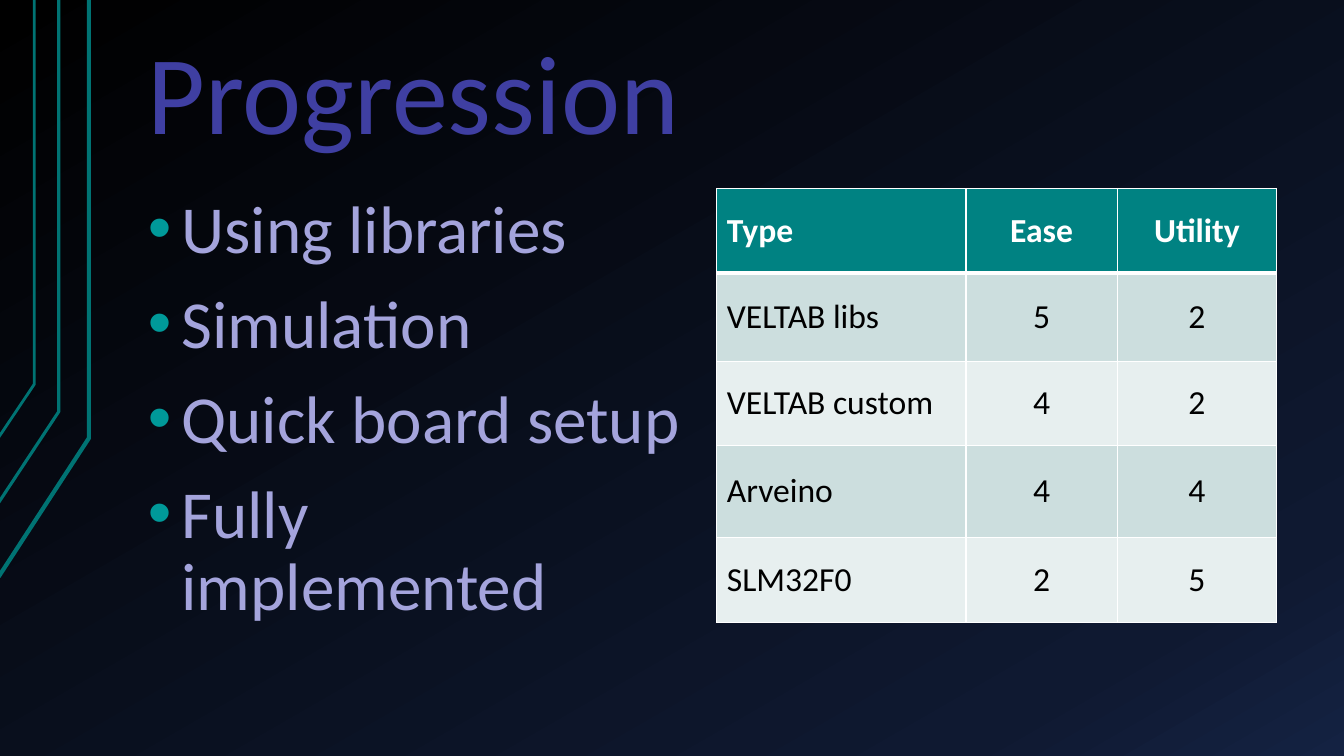
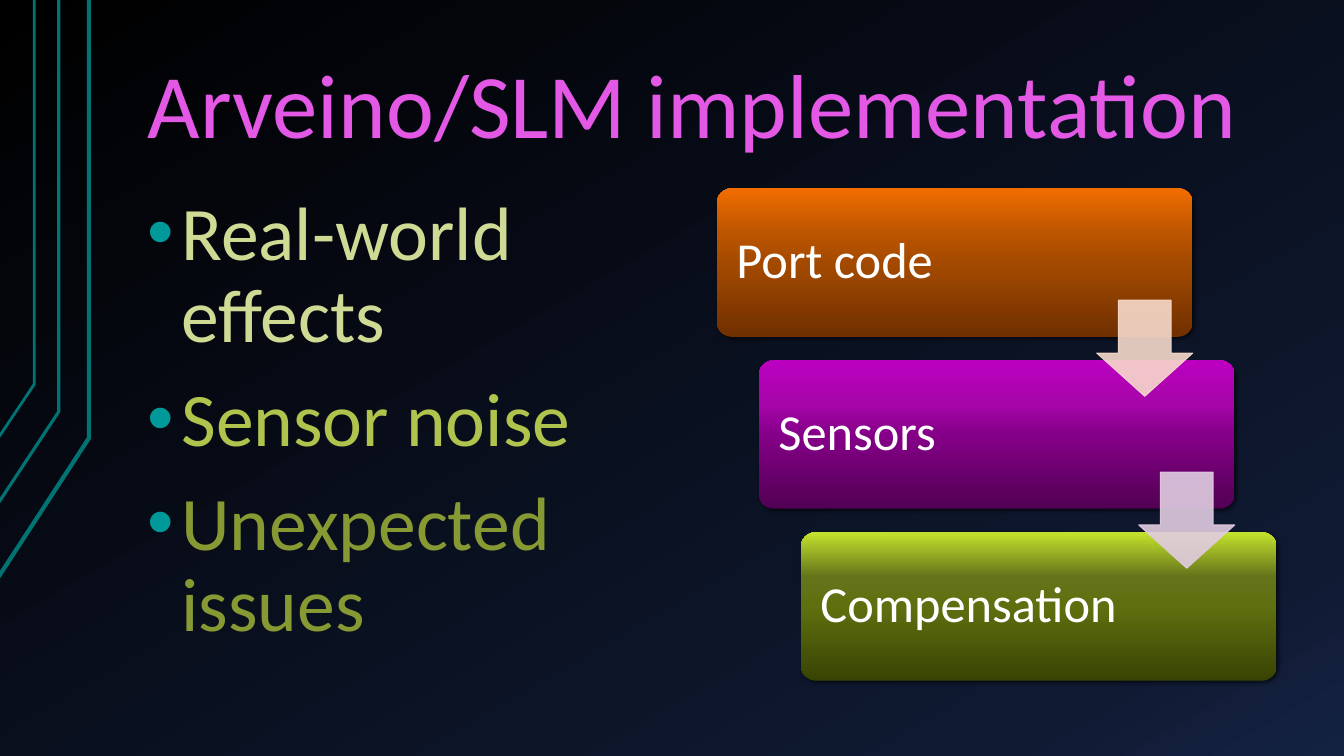
"""Build two dark slides: a comparison table and a stepped process."""
import copy

import lxml.etree
import pptx
import pptx.dml.color
import pptx.enum.shapes
import pptx.enum.text
import pptx.oxml.ns
import pptx.util

Pt = pptx.util.Pt
RGB = pptx.dml.color.RGBColor
SHAPE = pptx.enum.shapes.MSO_SHAPE
ANCHOR = pptx.enum.text.MSO_ANCHOR
ALIGN = pptx.enum.text.PP_ALIGN
qn = pptx.oxml.ns.qn

BLACK = RGB(0x00, 0x00, 0x00)
WHITE = RGB(0xFF, 0xFF, 0xFF)
CIRCUIT = RGB(0x00, 0x73, 0x73)
BULLET = RGB(0x00, 0x99, 0x99)
HEADER = RGB(0x00, 0x82, 0x82)
BAND_DARK = RGB(0xCC, 0xDE, 0xDE)
BAND_LIGHT = RGB(0xE7, 0xEF, 0xEF)
INDIGO = RGB(0x3F, 0x3F, 0xA2)
LAVENDER = RGB(0xA4, 0xA4, 0xDC)
PINK = RGB(0xE3, 0x59, 0xE6)
LIME_PALE = RGB(0xCF, 0xDB, 0x94)
LIME = RGB(0xAF, 0xC3, 0x4D)
OLIVE = RGB(0x87, 0x99, 0x33)
PEACH = RGB(0xF7, 0xDA, 0xCC)
MAUVE = RGB(0xE0, 0xCC, 0xE1)

BACKDROP = [(0, BLACK), (0.85, RGB(0x0F, 0x19, 0x31)), (1, RGB(0x14, 0x22, 0x42))]
STOPS = (0, 0.5, 0.7, 1)
ORANGES = [RGB(0x70, 0x30, 0x00), RGB(0xA4, 0x4A, 0x00), RGB(0xBC, 0x55, 0x00), RGB(0xF2, 0x6D, 0x00)]
PURPLES = [RGB(0x52, 0x00, 0x54), RGB(0x85, 0x00, 0x88), RGB(0xA5, 0x05, 0xA9), RGB(0xBC, 0x00, 0xC0)]
GREENS = [RGB(0x39, 0x44, 0x04), RGB(0x5F, 0x6F, 0x0F), RGB(0x65, 0x74, 0x1A), RGB(0xC4, 0xE3, 0x2D)]

LEFT, RIGHT, TOP = 96, 512, 134.6
CIRCUITS = [(63.5, 313, 412, 3), (42, 294, 359, 2.25), (24.5, 274.5, 312.5, 2)]


def sub(parent, tag, **attrs):
    """Append a drawing element with the given attributes."""
    return lxml.etree.SubElement(parent, qn(tag), {k: str(v) for k, v in attrs.items()})


def gradient(fill, element, stops, angle):
    """Give a fill a linear gradient with any number of stops."""
    fill.gradient()
    fill.gradient_angle = angle
    stop_list = next(element.iter(qn("a:gsLst")))
    while len(stop_list) < len(stops):
        stop_list.append(copy.deepcopy(stop_list[0]))
    for stop, (position, color) in zip(fill.gradient_stops, stops):
        stop.position = position
        stop.color.rgb = color


class Deck:
    """Hold the presentation style and the current slide."""

    font = "Calibri"

    def __init__(self):
        """Set the slide size and the shared background."""
        self.prs = pptx.Presentation()
        self.prs.slide_width, self.prs.slide_height = Pt(960), Pt(540)
        master = self.prs.slide_master
        gradient(master.background.fill, master.element, BACKDROP, 300)

    def run(self, p, text, size, color, bold=False):
        """Add a styled run to a paragraph."""
        r = p.add_run()
        r.text = text
        r.font.name, r.font.size, r.font.bold = self.font, Pt(size), bold
        r.font.color.rgb = color

    def frame(self, sp, anchor, side, edge):
        """Prepare a wrapping text frame with its anchor and margins."""
        tf = sp.text_frame
        tf.word_wrap = True
        tf.auto_size = pptx.enum.text.MSO_AUTO_SIZE.NONE
        tf.vertical_anchor = anchor
        tf.margin_left = tf.margin_right = Pt(side)
        tf.margin_top = tf.margin_bottom = Pt(edge)
        return tf

    def paragraph(self, p, text, size, color):
        """Fill a left-aligned, tightly spaced paragraph."""
        p.alignment = ALIGN.LEFT
        p.line_spacing = 0.9
        self.run(p, text, size, color)

    def slide(self, title, size, color):
        """Start a slide with the circuit lines and a title."""
        self.s = self.prs.slides.add_slide(self.prs.slide_layouts[5])
        for x, bend, end, width in CIRCUITS:
            self.circuit(x, bend, end, width)
        sp = self.s.shapes.title
        sp.left, sp.top, sp.width, sp.height = Pt(LEFT), Pt(21.6), Pt(816), Pt(96.5)
        tf = self.frame(sp, ANCHOR.BOTTOM, 9.6, 4.8)
        self.paragraph(tf.paragraphs[0], title, size, color)

    def circuit(self, x, bend, end, width):
        """Draw one bent line from the top edge to the left edge."""
        builder = self.s.shapes.build_freeform(Pt(-1), Pt(end))
        builder.add_line_segments([(Pt(x), Pt(bend)), (Pt(x), 0)], close=False)
        sp = builder.convert_to_shape()
        sp.shadow.inherit = False
        sp.fill.background()
        sp.line.color.rgb, sp.line.width = CIRCUIT, Pt(width)

    def bullets(self, items, size):
        """Add the bulleted list on the left."""
        sp = self.s.shapes.add_textbox(Pt(LEFT), Pt(TOP), Pt(400), Pt(351.4))
        tf = self.frame(sp, ANCHOR.TOP, 9.6, 4.8)
        for i, (text, color) in enumerate(items):
            p = tf.add_paragraph() if i else tf.paragraphs[0]
            self.paragraph(p, text, size, color)
            p.space_before = Pt(16)
            pPr = p._p.get_or_add_pPr()
            pPr.set("marL", str(Pt(24)))
            pPr.set("indent", str(Pt(-24)))
            sub(sub(pPr, "a:buClr"), "a:srgbClr", val=BULLET)
            sub(pPr, "a:buFont", typeface="Arial")
            sub(pPr, "a:buChar", char="•")

    def table(self, rows, widths, heights):
        """Add a table with a header row and alternating bands."""
        frame = self.s.shapes.add_table(len(rows), len(widths), Pt(RIGHT), Pt(TOP),
                                        Pt(sum(widths)), Pt(sum(heights)))
        table = frame.table
        for column, width in zip(table.columns, widths):
            column.width = Pt(width)
        for i, (texts, height) in enumerate(zip(rows, heights)):
            table.rows[i].height = Pt(height)
            for j, text in enumerate(texts):
                self.cell(table.cell(i, j), text, i, j)

    def cell(self, cell, text, row, column):
        """Fill, border and label one table cell."""
        header = row == 0
        cell.vertical_anchor = ANCHOR.MIDDLE
        p = cell.text_frame.paragraphs[0]
        p.alignment = ALIGN.CENTER if column else ALIGN.LEFT
        self.run(p, text, 24, WHITE if header else BLACK, header)
        tcPr = cell._tc.get_or_add_tcPr()
        for side in "LRTB":
            thick = (row, side) in ((0, "B"), (1, "T"))
            ln = sub(tcPr, "a:ln" + side, w=Pt(3 if thick else 1))
            sub(sub(ln, "a:solidFill"), "a:srgbClr", val=WHITE)
        cell.fill.solid()
        cell.fill.fore_color.rgb = HEADER if header else BAND_DARK if row % 2 else BAND_LIGHT

    def step(self, index, text, colors):
        """Add one shaded box of the staircase."""
        sp = self.s.shapes.add_shape(SHAPE.ROUNDED_RECTANGLE, Pt(RIGHT + 30 * index),
                                     Pt(TOP + 122.8 * index), Pt(340), Pt(106))
        sp.adjustments[0] = 0.1
        gradient(sp.fill, sp.element, list(zip(STOPS, colors)), 90)
        sp.line.fill.background()
        sp.shadow.inherit = False
        effects = next(sp.element.iter(qn("a:effectLst")))
        shadow = sub(effects, "a:outerShdw", blurRad=Pt(3), dist=Pt(2), dir=45 * 60000)
        sub(sub(shadow, "a:srgbClr", val=BLACK), "a:alpha", val=60000)
        tf = self.frame(sp, ANCHOR.MIDDLE, 11, 11)
        self.paragraph(tf.paragraphs[0], text, 36, WHITE)

    def arrow(self, index, color):
        """Add a translucent arrow from one step to the next."""
        sp = self.s.shapes.add_shape(SHAPE.DOWN_ARROW, Pt(783.4 + 30 * index),
                                     Pt(214.5 + 122.8 * index), Pt(68.6), Pt(68.6))
        sp.adjustments[0], sp.adjustments[1] = 0.55, 0.45
        sp.shadow.inherit = False
        sp.fill.solid()
        sp.fill.fore_color.rgb = sp.line.color.rgb = color
        sp.line.width = Pt(0.75)
        for tint in list(sp.element.iter(qn("a:srgbClr"))):
            sub(tint, "a:alpha", val=90000)


def main():
    """Build and save both slides."""
    deck = Deck()

    deck.slide("Progression", 80, INDIGO)
    topics = ("Using libraries", "Simulation", "Quick board setup", "Fully implemented")
    deck.bullets([(topic, LAVENDER) for topic in topics], 48)
    ratings = [
        ("Type", "Ease", "Utility"),
        ("VELTAB libs", "5", "2"),
        ("VELTAB custom", "4", "2"),
        ("Arveino", "4", "4"),
        ("SLM32F0", "2", "5"),
    ]
    deck.table(ratings, (178, 108, 114), (60.5, 63, 60, 66, 60.5))

    deck.slide("Arveino/SLM implementation", 64.8, PINK)
    deck.bullets([("Real-world effects", LIME_PALE), ("Sensor noise", LIME),
                  ("Unexpected issues", OLIVE)], 54)
    steps = [("Port code", ORANGES), ("Sensors", PURPLES), ("Compensation", GREENS)]
    for i, (text, colors) in enumerate(steps):
        deck.step(i, text, colors)
    for i, color in enumerate((PEACH, MAUVE)):
        deck.arrow(i, color)

    deck.prs.save("out.pptx")


if __name__ == "__main__":
    main()
